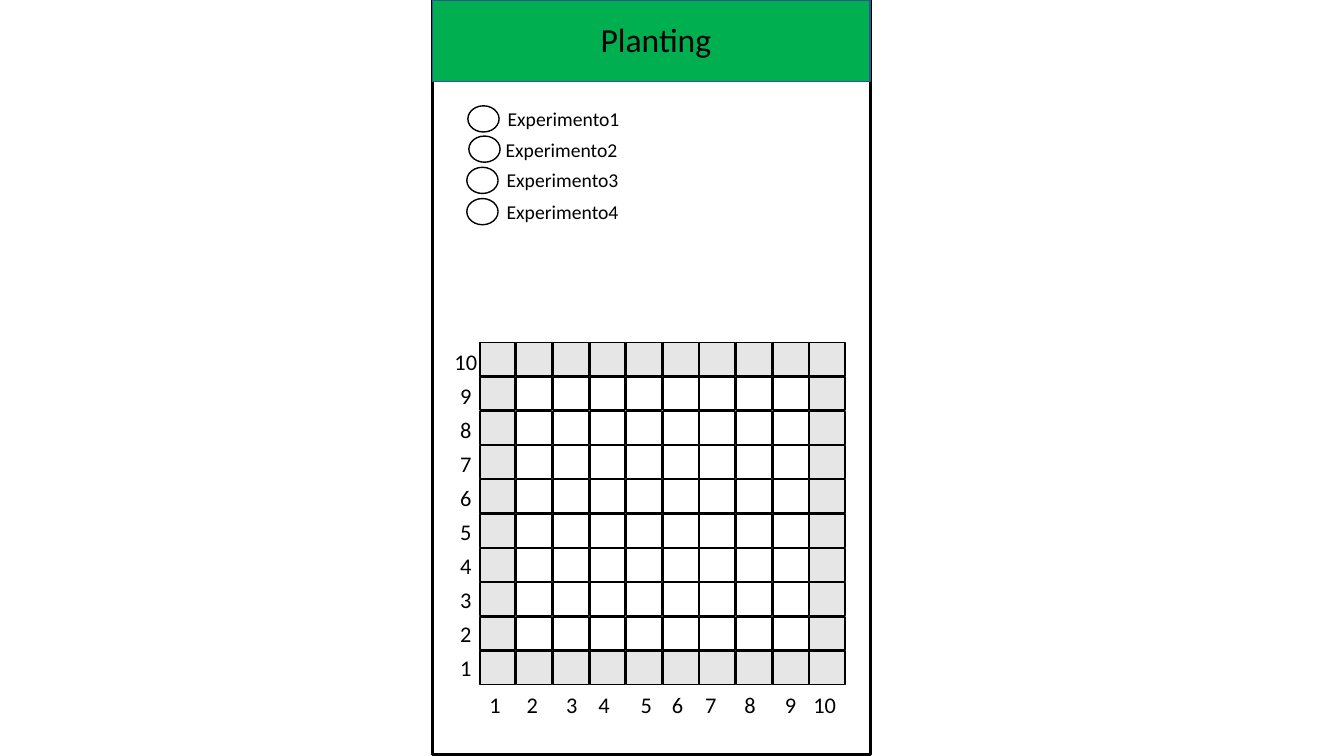
from dataclasses import dataclass

from pptx import Presentation
from pptx.dml.color import RGBColor
from pptx.enum.shapes import MSO_SHAPE as Preset
from pptx.enum.text import MSO_ANCHOR as Anchor, MSO_AUTO_SIZE as AutoSize, PP_ALIGN as Align
from pptx.shapes.autoshape import Shape
from pptx.slide import Slide
from pptx.util import Inches, Pt

BLACK, WHITE, GREEN, NAVY, GREY = "000000", "FFFFFF", "00B050", "325491", "E7E6E6"

# Field grid: plots numbered from the bottom left corner
GRID_SIZE = 10
GRID_LEFT, GRID_BOTTOM_ROW = 4.76, 6.46
COLUMN_PITCH, ROW_PITCH = (8.03 - GRID_LEFT) / (GRID_SIZE - 1), 0.34
PLOT_WIDTH, PLOT_HEIGHT = 0.35, 0.33

# Axis labels
ROW_LABEL_CENTER, ROW_LABEL_BOTTOM = 4.62, 6.44
ROW_LABEL_PITCH = (ROW_LABEL_BOTTOM - 3.4) / (GRID_SIZE - 1)
COLUMN_LABEL_TOP = 6.81
COLUMN_LABEL_CENTERS = (4.91, 5.28, 5.67, 5.99, 6.41, 6.72, 7.05, 7.44, 7.84, 8.18)


@dataclass(frozen=True)
class Box:
    left: float
    top: float
    width: float
    height: float

    def lengths(self) -> tuple:
        return tuple(Inches(v) for v in (self.left, self.top, self.width, self.height))


@dataclass(frozen=True)
class Option:
    name: str
    circle_left: float
    circle_top: float
    text_left: float
    text_top: float


OPTIONS = (
    Option("Experimento1", 4.64, 1.05, 4.93, 1.01),
    Option("Experimento2", 4.65, 1.35, 4.91, 1.32),
    Option("Experimento3", 4.63, 1.66, 4.92, 1.62),
    Option("Experimento4", 4.63, 1.97, 4.92, 1.93),
)


def color(value: str) -> RGBColor:
    return RGBColor.from_string(value)


def set_all(target: object, values: dict) -> None:
    for name, value in values.items():
        setattr(target, name, value)


def draw_shape(slide: Slide, preset: Preset, box: Box, fill: str | None,
               line: str = BLACK, line_width: float = 1) -> Shape:
    shape = slide.shapes.add_shape(preset, *box.lengths())
    shape.shadow.inherit = False
    if fill is None:
        shape.fill.background()
    else:
        shape.fill.solid()
        shape.fill.fore_color.rgb = color(fill)
    shape.line.color.rgb = color(line)
    shape.line.width = Pt(line_width)
    return shape


def write_text(shape: Shape, text: str, size: float) -> None:
    frame = shape.text_frame
    frame.text = text
    set_all(frame, {"word_wrap": False, "auto_size": AutoSize.SHAPE_TO_FIT_TEXT,
                    "vertical_anchor": Anchor.TOP})
    paragraph = frame.paragraphs[0]
    paragraph.alignment = Align.CENTER
    set_all(paragraph.runs[0].font, {"name": "Calibri", "size": Pt(size)})
    paragraph.runs[0].font.color.rgb = color(BLACK)


def draw_text(slide: Slide, box: Box, text: str, size: float) -> None:
    write_text(slide.shapes.add_textbox(*box.lengths()), text, size)


def draw_number(slide: Slide, number: int, center: float, top: float) -> None:
    width = 0.32 if number < 10 else 0.43
    draw_text(slide, Box(center - width / 2, top, width, 0.37), str(number), 16)


def draw_header(slide: Slide) -> None:
    draw_shape(slide, Preset.RECTANGLE, Box(4.29, -0.01, 4.34, 7.5), WHITE, line_width=2.25)
    banner = draw_shape(slide, Preset.RECTANGLE, Box(4.29, 0, 4.34, 0.81), GREEN, NAVY)
    title = slide.shapes.title
    lengths = Box(5.85, 0.14, 1.31, 0.5).lengths()
    set_all(title, dict(zip(("left", "top", "width", "height"), lengths)))
    write_text(title, "Planting", 24)
    banner.element.addnext(title.element)  # bring the title in front of the banner


def draw_grid(slide: Slide) -> None:
    edges = (0, GRID_SIZE - 1)
    for column in range(GRID_SIZE):
        for row in range(GRID_SIZE):
            plot = Box(GRID_LEFT + column * COLUMN_PITCH, GRID_BOTTOM_ROW - row * ROW_PITCH,
                       PLOT_WIDTH, PLOT_HEIGHT)
            is_border = column in edges or row in edges
            draw_shape(slide, Preset.RECTANGLE, plot, GREY if is_border else WHITE)


def draw_axis_labels(slide: Slide) -> None:
    for row in range(GRID_SIZE):
        draw_number(slide, row + 1, ROW_LABEL_CENTER, ROW_LABEL_BOTTOM - row * ROW_LABEL_PITCH)
    for number, center in enumerate(COLUMN_LABEL_CENTERS, start=1):
        draw_number(slide, number, center, COLUMN_LABEL_TOP)


def draw_options(slide: Slide) -> None:
    for option in OPTIONS:
        draw_text(slide, Box(option.text_left, option.text_top, 1.32, 0.34), option.name, 14)
        draw_shape(slide, Preset.OVAL, Box(option.circle_left, option.circle_top, 0.31, 0.26), None)


def main() -> None:
    presentation = Presentation()
    set_all(presentation, {"slide_width": Inches(13.33), "slide_height": Inches(7.5)})
    title_only = presentation.slide_layouts.get_by_name("Title Only")
    slide = presentation.slides.add_slide(title_only)
    draw_header(slide)
    draw_grid(slide)
    draw_axis_labels(slide)
    draw_options(slide)
    presentation.save("out.pptx")


if __name__ == "__main__":
    main()
